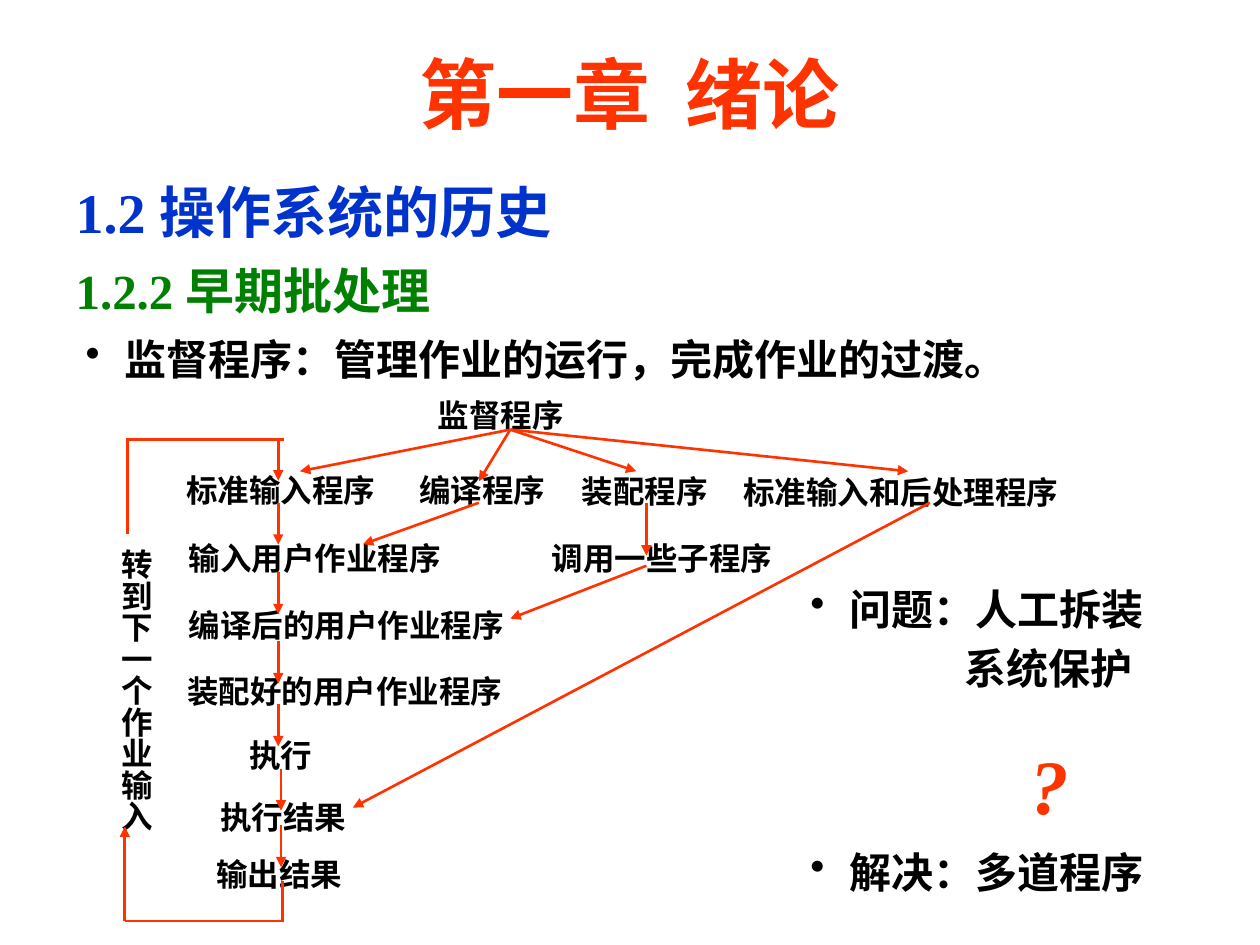
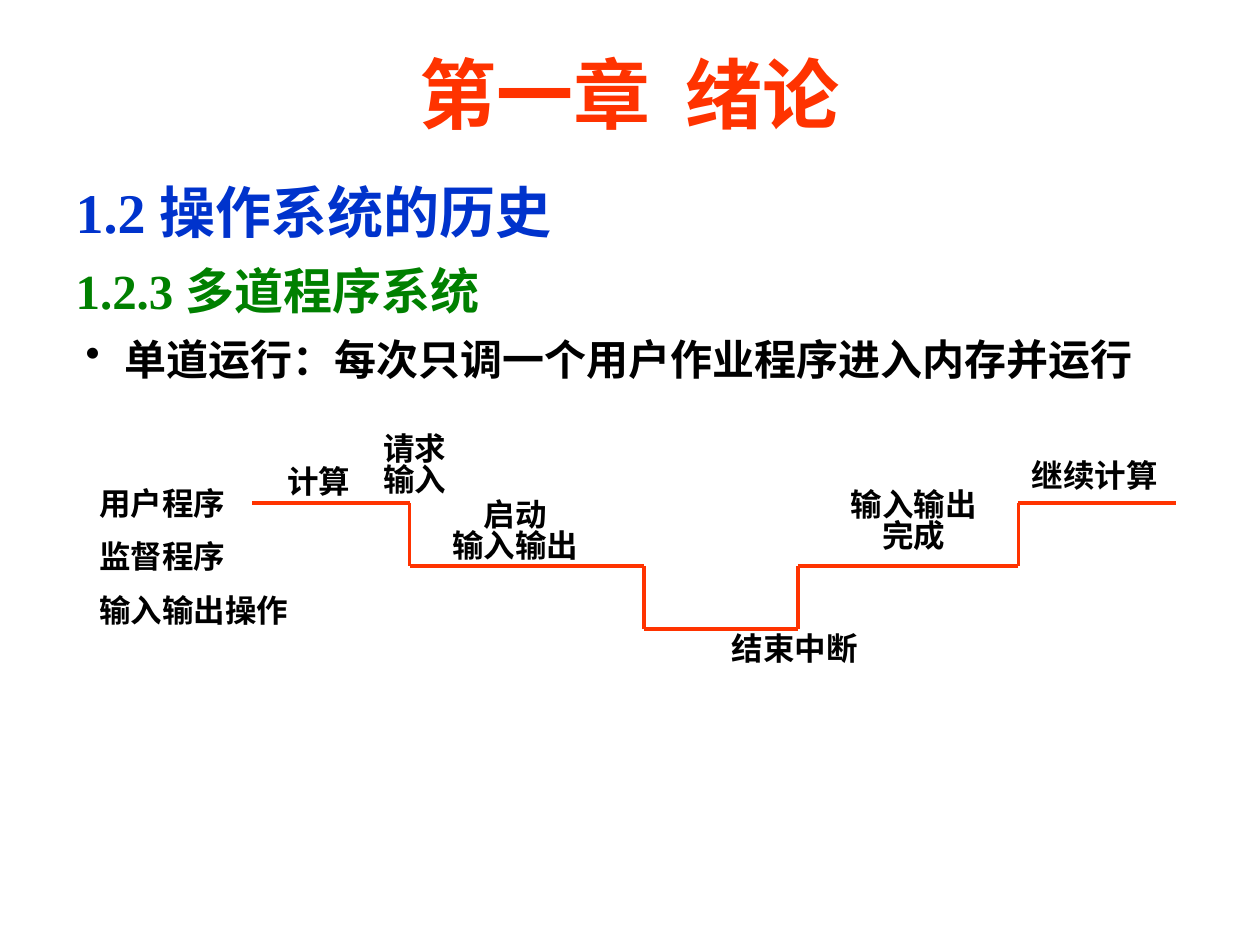
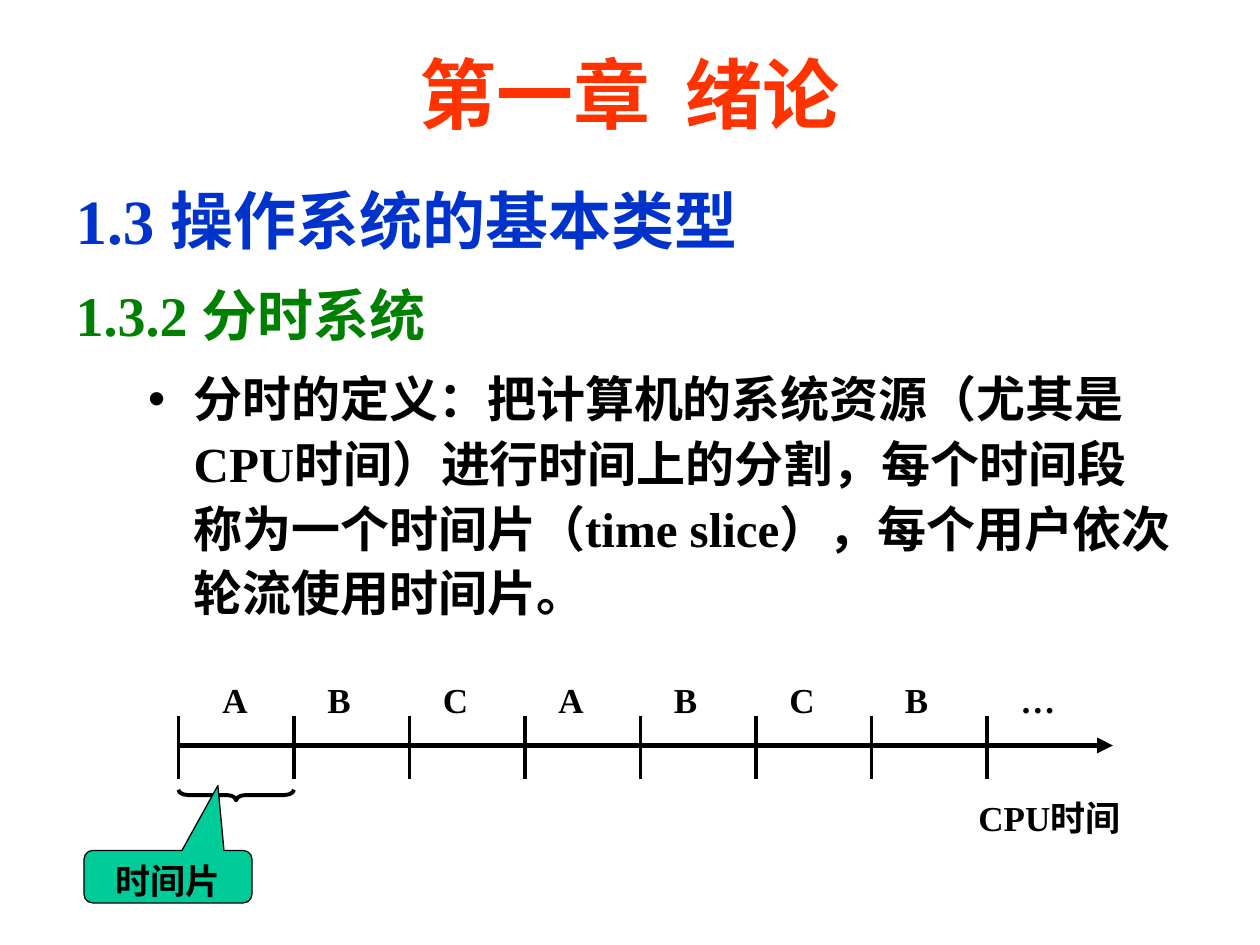
import dataclasses
import itertools

import lxml.etree
import pptx
import pptx.dml.color
import pptx.enum.shapes
import pptx.enum.text
import pptx.oxml.ns
import pptx.util

Pt = pptx.util.Pt
qn = pptx.oxml.ns.qn
ALIGN = pptx.enum.text.PP_ALIGN
ANCHOR = pptx.enum.text.MSO_ANCHOR
AUTO_SIZE = pptx.enum.text.MSO_AUTO_SIZE
SHAPE = pptx.enum.shapes.MSO_SHAPE


@dataclasses.dataclass(frozen=True)
class Theme:
    font: str = "Times New Roman"
    red: str = "FF3300"
    blue: str = "0033CC"
    green: str = "008000"
    black: str = "000000"
    teal: str = "00CC99"
    title_size: float = 44
    section_size: float = 32
    subsection_size: float = 28
    bullet_size: float = 24
    axis_size: float = 20
    label_size: float = 18


@dataclasses.dataclass(frozen=True)
class Box:
    left: float
    top: float
    width: float
    height: float

    def inner(self, left, top, width, height):
        return Box(self.left + left, self.top + top, width, height)

    def lengths(self):
        return [Pt(value) for value in dataclasses.astuple(self)]


THEME = Theme()
TITLE_BOX = Box(54, 20, 612, 66)
HEADING_BOX = Box(36, 96, 648, 96)


def color(value):
    return pptx.dml.color.RGBColor.from_string(value)


def write(frame, text, size=THEME.label_size, ink=THEME.black, italic=False, align=ALIGN.LEFT,
          before=0, spacing=1.0, margin=0, indent=0, bullet=None, level=0):
    """Append one paragraph; the first of a frame gets no space before."""
    paragraph = frame.paragraphs[0]
    first = not paragraph.runs
    if not first:
        paragraph = frame.add_paragraph()
    properties = paragraph._p.get_or_add_pPr()
    properties.set("marL", str(Pt(margin)))
    properties.set("indent", str(Pt(indent)))
    if bullet:
        lxml.etree.SubElement(properties, qn("a:buChar")).set("char", bullet)
    else:
        lxml.etree.SubElement(properties, qn("a:buNone"))
    paragraph.level = level
    paragraph.alignment = align
    paragraph.line_spacing = spacing
    paragraph.space_before = Pt(0 if first else before)
    run = paragraph.add_run()
    run.text = text
    run.font.name = THEME.font
    run.font.size = Pt(size)
    run.font.bold = True
    run.font.italic = italic
    run.font.color.rgb = color(ink)


def add_text(slide, box, *texts, vertical=False, **text_format):
    shape = slide.shapes.add_textbox(*box.lengths())
    frame = shape.text_frame
    frame.word_wrap = True
    frame.auto_size = AUTO_SIZE.SHAPE_TO_FIT_TEXT
    if vertical:
        shape.element.find(qn("p:txBody")).find(qn("a:bodyPr")).set("vert", "eaVert")
    for text in texts:
        write(frame, text, **text_format)
    return frame


def add_line(slide, box, start, end, ink=THEME.red, width=1.5, arrow=False):
    connector = slide.shapes.add_connector(
        pptx.enum.shapes.MSO_CONNECTOR.STRAIGHT,
        Pt(box.left + start[0]), Pt(box.top + start[1]),
        Pt(box.left + end[0]), Pt(box.top + end[1]))
    connector.line.color.rgb = color(ink)
    connector.line.width = Pt(width)
    properties = connector.element.find(qn("p:spPr"))
    if arrow:
        outline = properties.find(qn("a:ln"))
        lxml.etree.SubElement(outline, qn("a:tailEnd")).set("type", "triangle")
    lxml.etree.SubElement(properties, qn("a:effectLst"))


def add_outlined_shape(slide, kind, box, adjustments, width, fill=None):
    shape = slide.shapes.add_shape(kind, *box.lengths())
    shape.shadow.inherit = False
    for index, value in enumerate(adjustments):
        shape.adjustments[index] = value
    shape.line.color.rgb = color(THEME.black)
    shape.line.width = Pt(width)
    if fill:
        shape.fill.solid()
        shape.fill.fore_color.rgb = color(fill)
    else:
        shape.fill.background()
    return shape


def place(placeholder, box):
    placeholder.left, placeholder.top, placeholder.width, placeholder.height = box.lengths()
    frame = placeholder.text_frame
    frame.word_wrap = True
    frame.auto_size = AUTO_SIZE.NONE
    return frame


def add_chapter_slide(presentation, section, subsection, box=HEADING_BOX, enlarge=0,
                      spacing=1.05, gap=0.25):
    """Add a slide with the chapter title and two headings; return it and its body frame."""
    slide = presentation.slides.add_slide(presentation.slide_layouts[1])
    title = place(slide.shapes.title, TITLE_BOX)
    title.vertical_anchor = ANCHOR.MIDDLE
    write(title, "第一章  绪论", size=THEME.title_size, ink=THEME.red, align=ALIGN.CENTER)
    body = place(slide.placeholders[1], box)
    headings = ((section, THEME.section_size, THEME.blue),
                (subsection, THEME.subsection_size, THEME.green))
    for text, size, ink in headings:
        write(body, text, size=size + enlarge, ink=ink, before=gap * (size + enlarge),
              spacing=spacing, margin=27, indent=-27)
    return slide, body


def add_lead_bullet(slide, box, text):
    add_text(slide, box, text, size=THEME.bullet_size, spacing=1.1,
             margin=22.5, indent=-22.5, bullet="•")


def draw_monitor_flow(slide, box):
    labels = (
        ("监督程序", 189, 6.5),
        ("标准输入程序", 45.4, 49.7), ("编译程序", 178.6, 49.7),
        ("装配程序", 271.4, 50.4), ("标准输入和后处理程序", 363.6, 51),
        ("输入用户作业程序", 46.8, 88.6), ("调用一些子程序", 254.2, 88.6),
        ("编译后的用户作业程序", 46.8, 126.7), ("装配好的用户作业程序", 46, 164.2),
        ("执行", 81.4, 201), ("执行结果", 64.8, 236.2), ("输出结果", 62.6, 269.3),
    )
    for text, left, top in labels:
        width = THEME.label_size * (len(text) + 1)
        add_text(slide, box.inner(left, top, width, 28.8), text)
    add_text(slide, box.inner(2.2, 90.7, 36, 186), "转到下一个作业输入", vertical=True)

    monitor = (237.6, 29.5)
    for target in ((117.4, 53.3), (219.6, 59), (309.6, 53.3), (465, 53.3)):
        add_line(slide, box, monitor, target, arrow=True)

    chain = [(105, top) for top in (34.6, 71.3, 111, 150.5, 186.5)]
    chain += [(106.6, top) for top in (223.2, 255.6)]
    for left, top in chain:
        add_line(slide, box, (left, top), (left, top + 24), arrow=True)

    handovers = (
        ((219.6, 71.3), (153.4, 95)), ((315.4, 71.3), (315.4, 101.5)),
        ((315.4, 107.3), (237.6, 137.5)), ((477.4, 71.3), (147.6, 245.5)),
    )
    for start, end in handovers:
        add_line(slide, box, start, end, arrow=True)

    add_line(slide, box, (107.3, 287.3), (107.3, 311))
    add_line(slide, box, (107.3, 310.3), (17.3, 310.3))
    add_line(slide, box, (17.3, 310.3), (17.3, 256.3), arrow=True)
    add_line(slide, box, (18.7, 89.3), (18.7, 35.3))
    add_line(slide, box, (108, 35.3), (18, 35.3))


def draw_problem_notes(slide, box):
    bullet_format = dict(size=THEME.bullet_size, margin=22.5, indent=-22.5, bullet="•")
    problem = add_text(slide, box.inner(0, 0, 228, 70.6), "问题：人工拆装", **bullet_format)
    write(problem, "系统保护", size=THEME.bullet_size, before=4.8, margin=88)
    add_text(slide, box.inner(126, 88, 48, 60), "?",
             size=THEME.title_size, ink=THEME.red, italic=True)
    add_text(slide, box.inner(0, 150, 216, 36), "解决：多道程序", **bullet_format)


def draw_single_job_timing(slide, box):
    add_text(slide, box.inner(1.7, 27, 126, 94), "用户程序", "监督程序", "输入输出操作", before=9)
    labels = (
        (("计算",), 109, 14.6, 54), (("结束中断",), 363, 109.7, 90),
        (("继续计算",), 534.5, 11, 96.5),
    )
    for texts, left, top, width in labels:
        add_text(slide, box.inner(left, top, width, 28.8), *texts)
    stacked_labels = (
        (("请求输入",), 162, 0, 54), (("启动", "输入输出"), 199, 37.7, 95),
        (("输入输出", "完成"), 423.6, 32, 101),
    )
    for texts, left, top, width in stacked_labels:
        add_text(slide, box.inner(left, top, width, 41.8), *texts,
                 align=ALIGN.CENTER, spacing=0.8)

    steps = ((96, 0), (186, 0), (186, 1), (320, 1), (320, 2),
             (408, 2), (408, 1), (534, 1), (534, 0), (624, 0))
    corners = [(left, 41.3 + 36 * level) for left, level in steps]
    for start, end in itertools.pairwise(corners):
        add_line(slide, box, start, end, width=2.25)


def draw_time_slices(slide, box):
    pitch, first_tick, axis = 66, 54, 42
    brace = add_outlined_shape(slide, SHAPE.LEFT_BRACE, box.inner(84, 37.3, 6, pitch),
                               (0.917, 0.5), 2.25)
    brace.rotation = 270
    callout = add_outlined_shape(slide, SHAPE.ROUNDED_RECTANGULAR_CALLOUT,
                                 box.inner(0, 102, 96, 30), (0.297, -1.738, 0.167),
                                 0.75, fill=THEME.teal)
    callout.text_frame.vertical_anchor = ANCHOR.TOP
    write(callout.text_frame, "时间片", size=THEME.axis_size, align=ALIGN.CENTER)

    add_line(slide, box, (first_tick, axis), (588, axis), ink=THEME.black, width=3, arrow=True)
    for index, user in enumerate("ABCABCB…"):
        tick = first_tick + pitch * index
        add_line(slide, box, (tick, axis - 17), (tick, axis + 19), ink=THEME.black, width=2.25)
        add_text(slide, box.inner(max(72, tick + 12), 0, 42, 31), user, size=THEME.axis_size)
    add_text(slide, box.inner(504, 67.4, 132, 31), "CPU时间", size=THEME.axis_size)


def build_batch_slide(presentation):
    slide, _ = add_chapter_slide(presentation, "1.2 操作系统的历史", "1.2.2 早期批处理")
    add_lead_bullet(slide, Box(41.8, 184.3, 567, 39), "监督程序：管理作业的运行，完成作业的过渡。")
    draw_monitor_flow(slide, Box(54, 216, 562, 312))
    draw_problem_notes(slide, Box(456, 330, 228, 186))


def build_multiprogramming_slide(presentation):
    slide, _ = add_chapter_slide(presentation, "1.2 操作系统的历史", "1.2.3 多道程序系统")
    add_lead_bullet(slide, Box(41.8, 184.3, 618, 39),
                    "单道运行：每次只调一个用户作业程序进入内存并运行")
    draw_single_job_timing(slide, Box(48, 246, 631, 139))


def build_time_sharing_slide(presentation):
    slide, body = add_chapter_slide(
        presentation, "1.3 操作系统的基本类型", "1.3.2 分时系统",
        box=Box(36, 96, 642, 270), enlarge=4, spacing=1.1, gap=0.3)
    write(body, "分时的定义：把计算机的系统资源（尤其是CPU时间）进行时间上的分割，"
                "每个时间段称为一个时间片（time slice），每个用户依次轮流使用时间片。",
          size=THEME.subsection_size, before=8.4, spacing=1.1,
          margin=67.5, indent=-26, bullet="•", level=1)
    draw_time_slices(slide, Box(48, 384, 636, 132))


def main():
    presentation = pptx.Presentation()
    presentation.slide_width, presentation.slide_height = Pt(720), Pt(540)
    build_batch_slide(presentation)
    build_multiprogramming_slide(presentation)
    build_time_sharing_slide(presentation)
    presentation.save("out.pptx")


if __name__ == "__main__":
    main()
